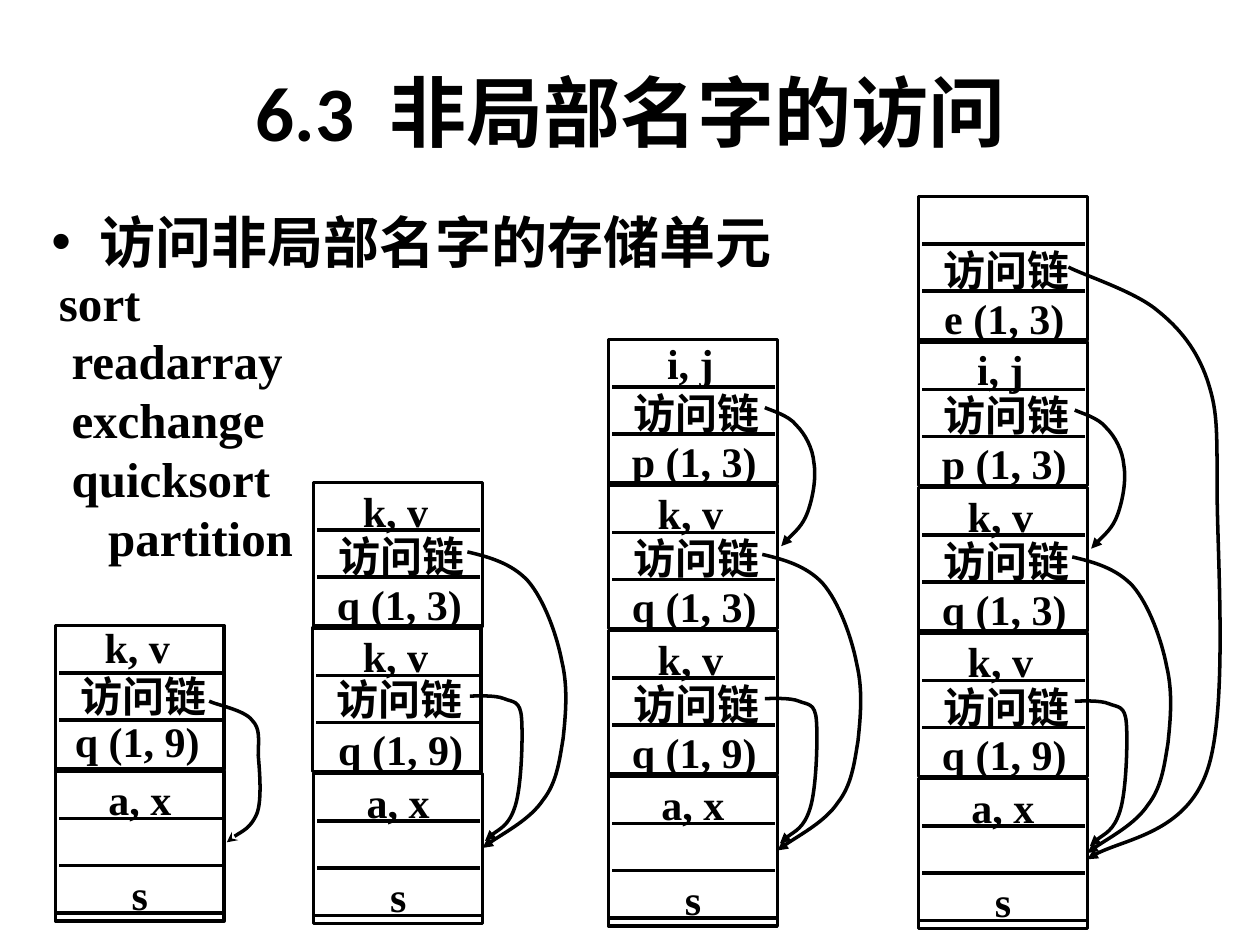
from dataclasses import dataclass

from lxml import etree
from pptx import Presentation
from pptx.dml.color import RGBColor
from pptx.enum import shapes as kinds, text
from pptx.oxml.ns import qn
from pptx.util import Inches, Pt


@dataclass(frozen=True)
class Theme:
    ink: RGBColor = RGBColor(0, 0, 0)
    heading: str = "Calibri"
    latin: str = "Times New Roman"
    chinese: str = "Noto Sans CJK SC"
    title: int = 44
    bullet: int = 32
    listing: int = 28
    label: int = 24
    line: int = 2


@dataclass(frozen=True)
class Frame:
    top: str
    bottom: str
    arrow: tuple
    head: str = "triangle"
    left_shift: float = 0
    top_shift: float = -0.02
    link_left: float = 0.03
    link_shift: float = 0.34
    bottom_left: float = 0.01
    bottom_shift: float = 0.72


THEME = Theme()
COLUMN_WIDTH = 1.34
FRAME_HEIGHT = 1.14
BASE_HEIGHT = 1.19
PITCH = 4.62 / 4
ROW = 0.75 / 2

TO_MAIN_FIRST = (
    (1.22, 0.6), (1.28, 0.63), (1.5, 0.67), (1.56, 0.75), (1.63, 0.82),
    (1.61, 0.91), (1.61, 1.03), (1.62, 1.15), (1.64, 1.38), (1.6, 1.49),
    (1.55, 1.61), (1.41, 1.67), (1.36, 1.72))
TO_MAIN_NEAR = (
    (1.24, 0.54), (1.28, 0.54), (1.44, 0.53), (1.51, 0.56), (1.58, 0.59),
    (1.64, 0.57), (1.65, 0.72), (1.66, 0.86), (1.65, 1.25), (1.6, 1.41),
    (1.55, 1.57), (1.41, 1.63), (1.36, 1.69))
TO_MAIN_FAR = (
    (1.22, 0.55), (1.39, 0.59), (1.57, 0.64), (1.7, 0.78), (1.83, 0.93),
    (1.93, 1.21), (1.97, 1.42), (2.02, 1.63), (2, 1.84), (1.98, 2.03),
    (1.95, 2.21), (1.93, 2.38), (1.82, 2.52), (1.72, 2.67), (1.44, 2.82),
    (1.34, 2.9))
TO_QUICKSORT = (
    (1.24, 0.54), (1.28, 0.56), (1.43, 0.6), (1.49, 0.68), (1.56, 0.75),
    (1.62, 0.86), (1.63, 0.98), (1.65, 1.1), (1.62, 1.26), (1.58, 1.37),
    (1.54, 1.48), (1.42, 1.58), (1.37, 1.64))
EXCHANGE_TO_MAIN = (
    (1.19, 0.56), (1.3, 0.62), (1.71, 0.75), (1.89, 0.9), (2.08, 1.05),
    (2.21, 1.22), (2.29, 1.45), (2.37, 1.69), (2.37, 1.81), (2.37, 2.32),
    (2.37, 2.84), (2.46, 4.08), (2.29, 4.56), (2.12, 5.05), (1.54, 5.11),
    (1.34, 5.26))

SORT_FIRST = Frame("k, v", "q (1, 9)", TO_MAIN_FIRST, "stealth", top_shift=-0.07,
                   link_shift=0.32, bottom_left=-0.02, bottom_shift=0.67)
SORT_ALL = Frame("k, v", "q (1, 9)", TO_MAIN_NEAR)
SORT_ALL_SHIFTED = Frame("k, v", "q (1, 9)", TO_MAIN_NEAR, left_shift=-0.01,
                         link_left=0.01, link_shift=0.32, bottom_left=0.02)
SORT_PART = Frame("k, v", "q (1, 3)", TO_MAIN_FAR)
PARTITION_THIRD = Frame("i, j", "p (1, 3)", TO_QUICKSORT, top_shift=-0.06)
PARTITION_FOURTH = Frame("i, j", "p (1, 3)", TO_QUICKSORT, top_shift=-0.03)
EXCHANGE = Frame("", "e (1, 3)", EXCHANGE_TO_MAIN)

STACKS = (
    (0.44, 6.12, (SORT_FIRST,)),
    (2.49, 6.14, (SORT_ALL_SHIFTED, SORT_PART)),
    (4.83, 6.16, (SORT_ALL, SORT_PART, PARTITION_THIRD)),
    (7.29, 6.18, (SORT_ALL, SORT_PART, PARTITION_FOURTH, EXCHANGE)),
)


def add_text_box(shapes, left, top, width, height, inset_top=0.08, wrap=True):
    box = shapes.add_textbox(Inches(left), Inches(top), Inches(width), Inches(height))
    frame = box.text_frame
    frame.word_wrap = wrap
    frame.margin_top = Inches(inset_top)
    return frame


def write(paragraph, words, size, font, align=text.PP_ALIGN.LEFT, leading=1.2):
    paragraph.alignment = align
    if leading:
        paragraph.line_spacing = Pt(round(size * leading, 1))
    run = paragraph.add_run()
    run.text = words
    run.font.size = Pt(size)
    run.font.bold = True
    run.font.name = font
    run.font.color.rgb = THEME.ink
    east_asian = etree.SubElement(run.font._element, qn("a:ea"))
    east_asian.set("typeface", THEME.chinese)


def ink_line(shape):
    shape.line.color.rgb = THEME.ink
    shape.line.width = Pt(THEME.line)


def add_label(shapes, words, left, top):
    frame = add_text_box(shapes, left, top, COLUMN_WIDTH, 0.43, inset_top=0.04)
    frame.margin_bottom = Inches(0.01)
    write(frame.paragraphs[0], words, THEME.label, THEME.latin, text.PP_ALIGN.CENTER)


def add_record(shapes, left, top, height):
    record = shapes.add_shape(kinds.MSO_SHAPE.RECTANGLE, Inches(left), Inches(top),
                              Inches(COLUMN_WIDTH), Inches(height))
    record.shadow.inherit = False
    record.fill.background()
    ink_line(record)
    for row in (2, 1):
        add_rule(shapes, left + 0.03, left + 1.32, top + row * ROW)


def add_rule(shapes, start, end, height):
    rule = shapes.add_connector(kinds.MSO_CONNECTOR.STRAIGHT, Inches(start),
                                Inches(height), Inches(end), Inches(height))
    ink_line(rule)
    etree.SubElement(rule._element.spPr, qn("a:effectLst"))


def add_access_arrow(shapes, left, top, points, head):
    placed = [(Inches(left + x), Inches(top + y)) for x, y in points]
    builder = shapes.build_freeform(*placed[0])
    builder.add_line_segments(placed[1:], close=False)
    arrow = builder.convert_to_shape()
    arrow.shadow.inherit = False
    arrow.fill.background()
    ink_line(arrow)
    segments = list(arrow._element.iter(qn("a:lnTo")))
    outline = segments[0].getparent()
    for start in range(0, len(segments), 3):
        curve = etree.SubElement(outline, qn("a:cubicBezTo"))
        for segment in segments[start:start + 3]:
            curve.append(segment[0])
            outline.remove(segment)
    tail = etree.SubElement(arrow.line._get_or_add_ln(), qn("a:tailEnd"))
    tail.set("type", head)


def add_main_record(shapes, left, top):
    add_record(shapes, left, top, BASE_HEIGHT)
    add_rule(shapes, left + 0.01, left + COLUMN_WIDTH, top + 3 * ROW)
    add_label(shapes, "s", left, top + 0.73)
    add_label(shapes, "a, x", left, top - 0.02)


def add_call_record(shapes, left, top, frame):
    add_record(shapes, left + frame.left_shift, top, FRAME_HEIGHT)
    add_label(shapes, frame.bottom, left + frame.bottom_left, top + frame.bottom_shift)
    if frame.top:
        add_label(shapes, frame.top, left - 0.02, top + frame.top_shift)
    add_label(shapes, "访问链", left + frame.link_left, top + frame.link_shift)
    add_access_arrow(shapes, left, top, frame.arrow, frame.head)


def add_stack(slide, left, top, frames):
    shapes = slide.shapes.add_group_shape().shapes
    add_main_record(shapes, left, top)
    for level, frame in enumerate(frames, 1):
        add_call_record(shapes, left, top - level * PITCH, frame)


def add_title(slide, left, top, width, height):
    frame = add_text_box(slide.shapes, left, top, width, height, inset_top=0.05)
    frame.vertical_anchor = text.MSO_ANCHOR.MIDDLE
    write(frame.paragraphs[0], "6.3  非局部名字的访问", THEME.title, THEME.heading,
          text.PP_ALIGN.CENTER, leading=None)


def add_bullet(slide, left, top, width, height):
    frame = add_text_box(slide.shapes, left, top, width, height)
    paragraph = frame.paragraphs[0]
    properties = paragraph._p.get_or_add_pPr()
    properties.set("marL", str(Inches(0.38)))
    properties.set("indent", str(Inches(-0.38)))
    etree.SubElement(properties, qn("a:buFont")).set("typeface", "Arial")
    etree.SubElement(properties, qn("a:buChar")).set("char", "•")
    write(paragraph, "访问非局部名字的存储单元", THEME.bullet, THEME.chinese,
          text.PP_ALIGN.JUSTIFY)


def add_procedures(slide, left, top, width, height):
    frame = add_text_box(slide.shapes, left, top, width, height, wrap=False)
    procedures = (("sort", 0), ("readarray", 0.1), ("exchange", 0.1),
                  ("quicksort", 0.1), ("partition", 0.39))
    for index, (name, indent) in enumerate(procedures):
        paragraph = frame.add_paragraph() if index else frame.paragraphs[0]
        paragraph._p.get_or_add_pPr().set("marL", str(Inches(indent)))
        write(paragraph, name, THEME.listing, THEME.latin)


def main():
    presentation = Presentation()
    presentation.slide_width, presentation.slide_height = Inches(10), Inches(7.5)
    slide = presentation.slides.add_slide(presentation.slide_layouts[6])
    add_title(slide, 0.17, 0.25, 9.67, 1.25)
    add_bullet(slide, 0.31, 1.57, 9.37, 5.51)
    add_procedures(slide, 0.37, 2.08, 2.9, 2.46)
    for left, top, frames in STACKS:
        add_stack(slide, left, top, frames)
    presentation.save("out.pptx")


if __name__ == "__main__":
    main()
